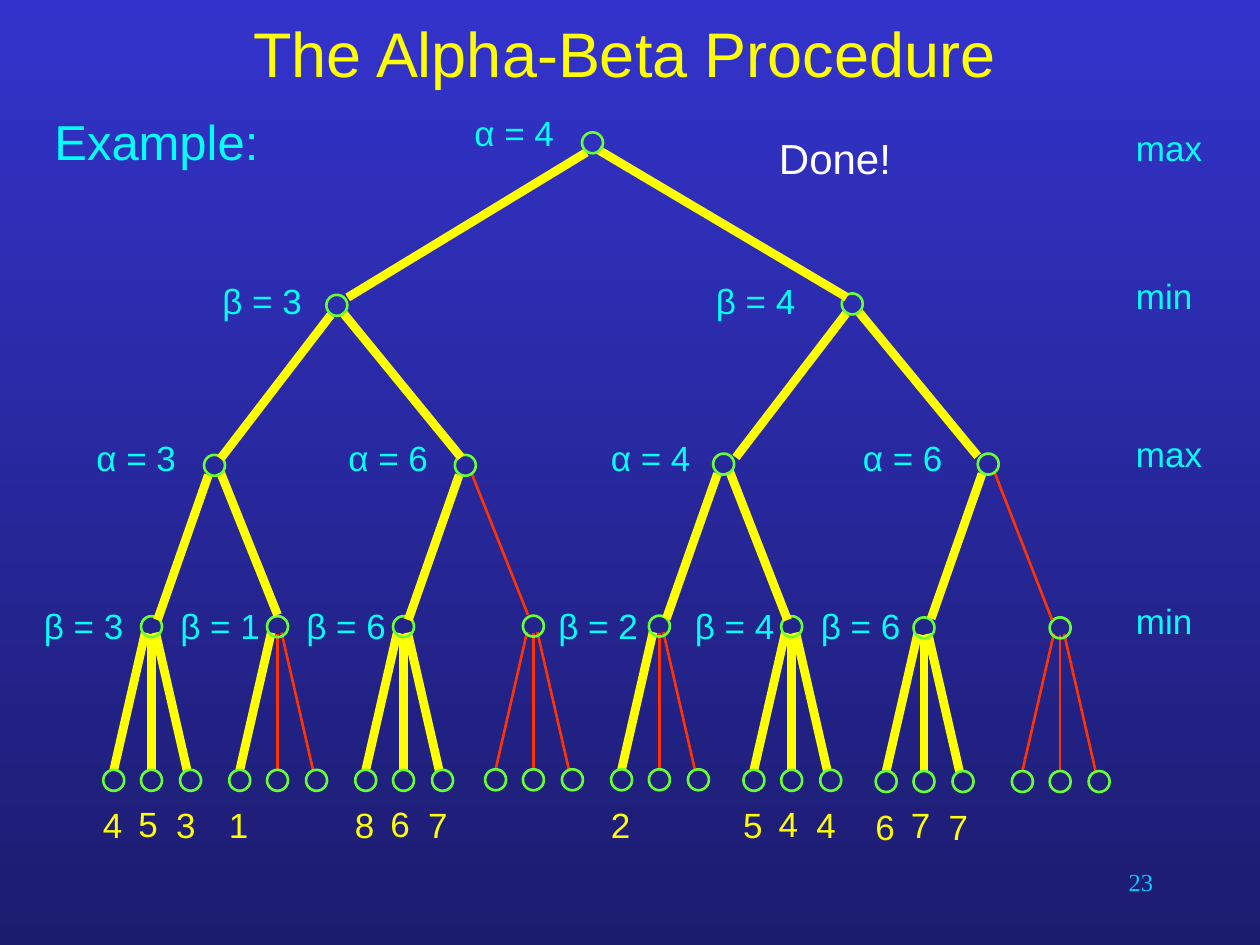
from dataclasses import dataclass

from lxml import etree
from pptx import Presentation
from pptx import util as u
from pptx.dml.color import RGBColor
from pptx.enum import shapes, text
from pptx.oxml.ns import qn


@dataclass(frozen=True)
class Theme:
    sky: str = "3333CC"
    depth: str = "1C1C6F"
    yellow: str = "FFFF00"
    cyan: str = "00FFFF"
    white: str = "FFFFFF"
    green: str = "66FF33"
    red: str = "FF3300"
    page: str = "00CCFF"
    font: str = "Arial"
    page_font: str = "Times New Roman"
    title_size: float = 36
    example_size: float = 28
    done_size: float = 24
    label_size: float = 20
    page_size: float = 14
    searched_width: float = 5
    thin_width: float = 1.5


THEME = Theme()
NODE = 12
LABEL_TOPS = (60, 156, 246, 342)  # bound labels, by depth
LEVELS = (("max", 69), ("min", 153.4), ("max", 243.4), ("min", 339.1))

# Offsets from a node's centre
EDGE_STARTS = ((-3.5, 5.5), (3.4, 4.1))
LEAF_X = (-21.6, 0, 22.3)
LEAF_Y = 87.8
LEAF_EDGES = (((-21.6, 82), (-3.6, 3.4)),
              ((0, 82), (0, 4)),
              ((20.3, 82), (2.3, 3.4)))
VALUE_BOXES = ((-34.8, 97.7), (-14.6, 97), (7, 97.7))


@dataclass
class Node:
    x: float
    y: float
    bound: str = ""
    bound_x: float = 0
    joint: tuple = (0, 0)  # where the edge from the parent ends
    children: tuple = ()
    values: tuple = ()  # leaf values, "" where pruned
    pruned: bool = False


# The game tree
TREE = Node(338.6, 81.6, "α = 4", 264, children=(
    Node(192.5, 174.5, "β = 3", 120, (6.2, -4.5), (
        Node(122.6, 265.9, "α = 3", 48, (3.4, -3.8), (
            Node(86.6, 358.1, "β = 3", 18, (3.4, -3.8), values=("4", "5", "3")),
            Node(158.6, 358.1, "β = 1", 96, (0, -6.7), values=("1", "", "")))),
        Node(265.9, 265.9, "α = 6", 192, (-2.4, -4.5), (
            Node(230.6, 358.1, "β = 6", 168, (2.7, -3.8), values=("8", "6", "7")),
            Node(304.8, 357.8, joint=(-3.1, -6.5), values=("", "", ""),
                 pruned=True))))),
    Node(487, 173.7, "β = 4", 402, (-3.1, -3.8), (
        Node(413.5, 265.2, "α = 4", 342, (7, -3.8), (
            Node(376.8, 357.8, "β = 2", 312, (4, -4.3), values=("2", "", "")),
            Node(452.4, 358.1, "β = 4", 390, (-2.4, -3.8), values=("5", "4", "4")))),
        Node(564.7, 265.2, "α = 6", 486, (-6, -4.5), (
            Node(528, 358.8, "β = 6", 462, (4.1, -5.3), values=("6", "7", "7")),
            Node(605.8, 358.8, joint=(-4.6, -4.6), values=("", "", ""),
                 pruned=True)))))))


def rgb(code):
    return RGBColor.from_string(code)


def add_label(slide, words, box, color, size=THEME.label_size, font=THEME.font,
              align=text.PP_ALIGN.LEFT, anchor=text.MSO_ANCHOR.TOP):
    frame = slide.shapes.add_textbox(*map(u.Pt, box)).text_frame
    frame.word_wrap = True
    frame.vertical_anchor = anchor
    line = frame.paragraphs[0]
    line.text = words
    line.alignment = align
    line.font.name = font
    line.font.size = u.Pt(size)
    line.font.color.rgb = rgb(color)


def add_circle(slide, x, y):
    circle = slide.shapes.add_shape(
        shapes.MSO_SHAPE.OVAL, u.Pt(x - NODE / 2), u.Pt(y - NODE / 2),
        u.Pt(NODE), u.Pt(NODE))
    circle.shadow.inherit = False
    circle.fill.background()
    circle.line.color.rgb = rgb(THEME.green)
    circle.line.width = u.Pt(THEME.thin_width)


def add_edge(slide, start, end, pruned):
    edge = slide.shapes.add_connector(
        shapes.MSO_CONNECTOR.STRAIGHT, *map(u.Pt, (*start, *end)))
    edge.line.color.rgb = rgb(THEME.red if pruned else THEME.yellow)
    edge.line.width = u.Pt(THEME.thin_width if pruned else THEME.searched_width)
    etree.SubElement(edge._element.spPr, qn("a:effectLst"))


def add_leaves(slide, node):
    def place(offset):
        return node.x + offset[0], node.y + offset[1]

    for value, (bottom, top) in zip(node.values, LEAF_EDGES):
        add_edge(slide, place(bottom), place(top), pruned=not value)
    for value, leaf_x, value_box in zip(node.values, LEAF_X, VALUE_BOXES):
        add_circle(slide, *place((leaf_x, LEAF_Y)))
        if value:
            add_label(slide, value, (*place(value_box), 30, 31), THEME.yellow)


def add_tree(slide, node, depth=0):
    for child, (dx, dy) in zip(node.children, EDGE_STARTS):
        add_tree(slide, child, depth + 1)
        joint = (child.x + child.joint[0], child.y + child.joint[1])
        add_edge(slide, joint, (node.x + dx, node.y + dy), child.pruned)
    if node.values:
        add_leaves(slide, node)
    add_circle(slide, node.x, node.y)
    if node.bound:
        add_label(slide, node.bound, (node.bound_x, LABEL_TOPS[depth], 72, 31),
                  THEME.cyan)


def paint_background(slide):
    fill = slide.background.fill
    fill.gradient()
    fill.gradient_angle = 270
    for stop, color in zip(fill.gradient_stops, (THEME.sky, THEME.depth)):
        stop.color.rgb = rgb(color)


def main():
    deck = Presentation()
    deck.slide_width, deck.slide_height = u.Pt(720), u.Pt(540)
    slide = deck.slides.add_slide(deck.slide_layouts[6])
    paint_background(slide)

    # Heading and page number
    add_label(slide, "The Alpha-Beta Procedure", (18, 0, 678, 60), THEME.yellow,
              THEME.title_size, align=text.PP_ALIGN.CENTER,
              anchor=text.MSO_ANCHOR.MIDDLE)
    add_label(slide, "23", (516, 492, 150, 36), THEME.page, THEME.page_size,
              THEME.page_font, text.PP_ALIGN.RIGHT)

    # Tree with its level names
    add_tree(slide, TREE)
    for player, top in LEVELS:
        add_label(slide, player, (642, top, 54, 31), THEME.cyan)

    # Remarks
    add_label(slide, "Example:", (24, 60, 162, 41), THEME.cyan, THEME.example_size)
    add_label(slide, "Done!", (438, 72, 162, 36), THEME.white, THEME.done_size)

    deck.save("out.pptx")


main()
